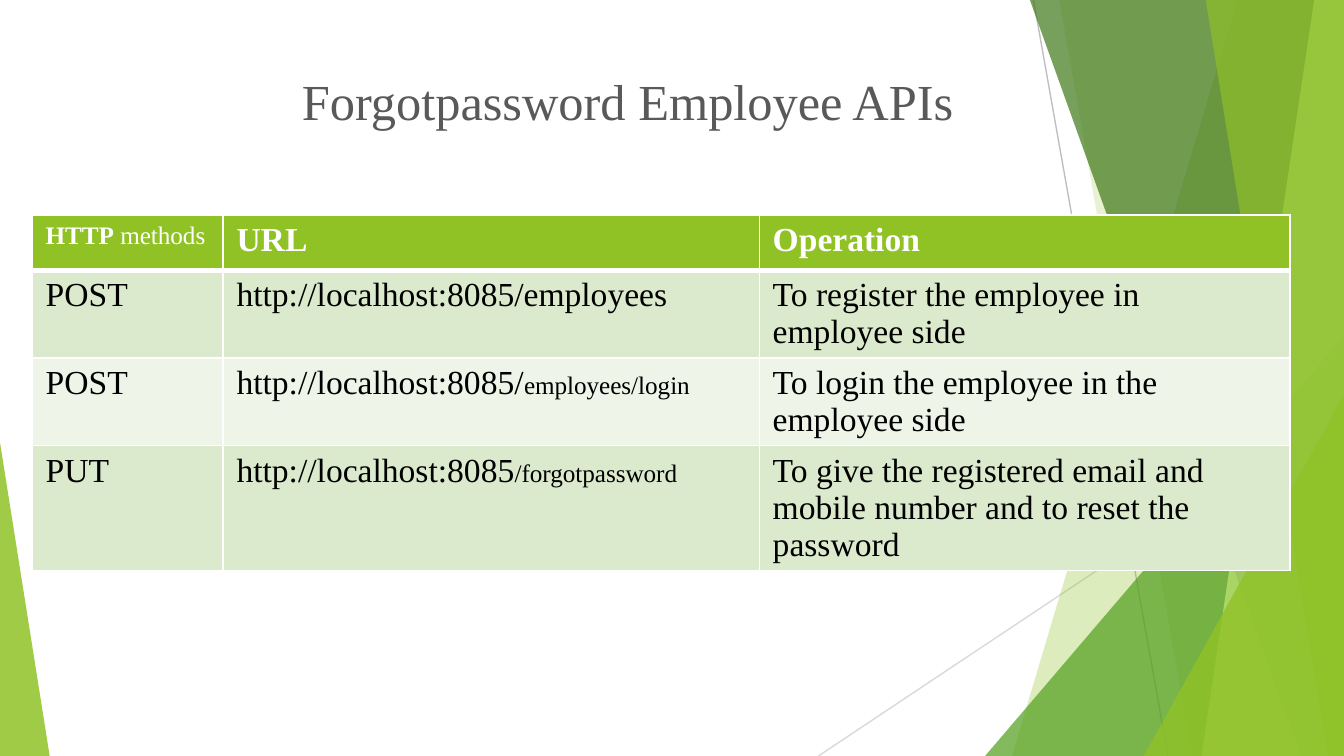
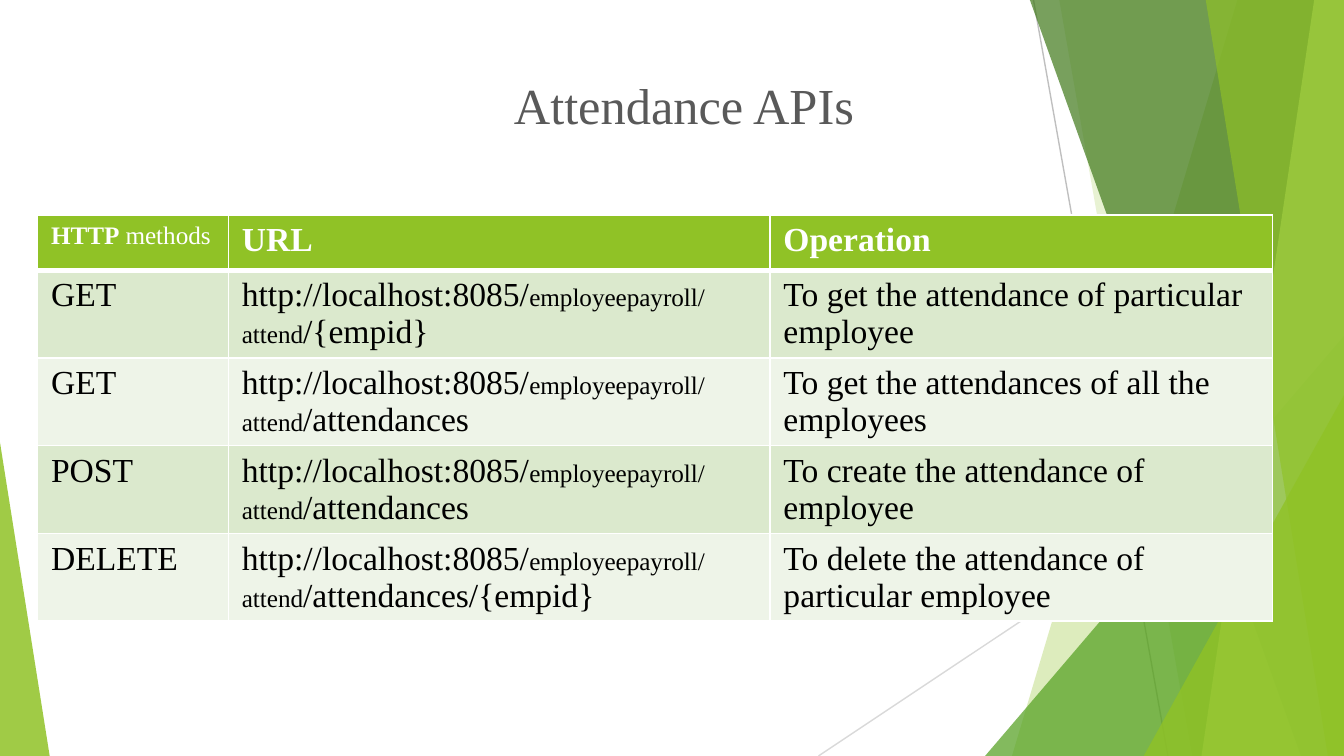
from lxml import etree
from pptx import Presentation
from pptx.dml.color import RGBColor
from pptx.enum.shapes import MSO_CONNECTOR, MSO_SHAPE
from pptx.enum.text import MSO_ANCHOR, PP_ALIGN
from pptx.oxml.ns import qn
from pptx.util import Inches, Pt

STRAIGHT = MSO_CONNECTOR.STRAIGHT
TRIANGLE = MSO_SHAPE.ISOSCELES_TRIANGLE
CENTER = PP_ALIGN.CENTER
MIDDLE = MSO_ANCHOR.MIDDLE

# Shared style
WHITE = RGBColor(0xFF, 0xFF, 0xFF)
BLACK = RGBColor(0x00, 0x00, 0x00)
TITLE_GRAY = RGBColor(0x59, 0x59, 0x59)
LINE_GRAY = RGBColor(0xBF, 0xBF, 0xBF)
PALE_GRAY = RGBColor(0xD9, 0xD9, 0xD9)
LIME = RGBColor(0x90, 0xC2, 0x26)
LEAF = RGBColor(0x54, 0xA0, 0x21)
FOREST = RGBColor(0x3F, 0x78, 0x19)
PALE_LIME = RGBColor(0xC0, 0xE4, 0x74)
BAND_DARK = RGBColor(0xDB, 0xE9, 0xCD)
BAND_LIGHT = RGBColor(0xEE, 0xF4, 0xE8)

FONT = "Times New Roman"
TITLE_SIZE, BODY_SIZE, SMALL_SIZE = 27, 18, 13.5
BODY_LEADING = 19.9
WIDTH = 10
HEIGHT = WIDTH * 9 / 16
FACET_TOP = -0.01
TABLE_TOP, ROW_HEIGHT = 1.6, 0.41
THIN, THICK = 1, 3

# Table text: a cell is a list of (text, format) spans
SMALL = {"size": Pt(SMALL_SIZE)}
HOST = "http://localhost:8085"
HEADER = [
    [("HTTP", SMALL), (" methods", {**SMALL, "bold": False})],
    [("URL", {})],
    [("Operation", {})],
]


def plain(text):
    return [(text, {})]


def attendance_url(ending):
    return [(HOST + "/", {}), ("employeepayroll/attend", SMALL), (ending, {})]


EMPLOYEE_ROWS = [
    [plain("POST"), plain(HOST + "/employees"),
     plain("To register the employee in employee side")],
    [plain("POST"), [(HOST + "/", {}), ("employees/login", SMALL)],
     plain("To login the employee in the employee side")],
    [plain("PUT"), [(HOST, {}), ("/forgotpassword", SMALL)],
     plain("To give the registered email and mobile number and to reset the password")],
]
ATTENDANCE_ROWS = [
    [plain("GET"), attendance_url("/{empid}"),
     plain("To get the attendance of particular employee")],
    [plain("GET"), attendance_url("/attendances"),
     plain("To get the attendances of all the employees")],
    [plain("POST"), attendance_url("/attendances"),
     plain("To create the attendance of employee")],
    [plain("DELETE"), attendance_url("/attendances/{empid}"),
     plain("To delete the attendance of particular employee")],
]


def add_span(para, text, color, **changes):
    span = para.add_run()
    span.text = text
    span.font.color.rgb = color
    formats = {"name": FONT, "size": Pt(BODY_SIZE), "bold": False, **changes}
    for name, value in formats.items():
        setattr(span.font, name, value)


# Background facets
def paint(shape, color, opacity):
    shape.shadow.inherit = False
    shape.line.fill.background()
    shape.fill.solid()
    shape.fill.fore_color.rgb = color
    tint = shape.fill._xPr.find(".//" + qn("a:srgbClr"))
    etree.SubElement(tint, qn("a:alpha"), val=str(opacity * 1000))


def add_ray(page, start, end, color):
    points = [Inches(value) for value in (*start, *end)]
    ray = page.shapes.add_connector(STRAIGHT, *points)
    ray.line.color.rgb = color
    ray.line.width = Pt(0.75)
    etree.SubElement(ray._element.spPr, qn("a:effectLst"))


def add_facet(page, top_left, bottom_left, color, opacity):
    """Fill from a slanted edge to the right side of the page."""
    builder = page.shapes.build_freeform(Inches(top_left), Inches(FACET_TOP))
    corners = [(WIDTH, FACET_TOP), (WIDTH, HEIGHT), (bottom_left, HEIGHT)]
    builder.add_line_segments([(Inches(x), Inches(y)) for x, y in corners])
    paint(builder.convert_to_shape(), color, opacity)


def add_corner(page, left, top, width, apex, color, opacity):
    """Right triangle that stands on the bottom edge of the page."""
    corner = page.shapes.add_shape(
        TRIANGLE, Inches(left), Inches(top), Inches(width), Inches(HEIGHT - top))
    corner.adjustments[0] = apex
    paint(corner, color, opacity)


def add_background(page):
    add_ray(page, (7.69, 0), (8.69, HEIGHT), LINE_GRAY)
    add_ray(page, (WIDTH, 3.02), (6.09, HEIGHT), PALE_GRAY)
    add_facet(page, 9.21, 7.53, LIME, 30)
    add_facet(page, 7.88, 8.87, LIME, 20)
    add_corner(page, 7.33, 2.5, 2.67, 1, LEAF, 72)
    add_facet(page, 7.66, 9.68, FOREST, 70)
    add_facet(page, 9.78, 8.94, PALE_LIME, 70)
    add_facet(page, 8.97, 9.88, LIME, 65)
    add_corner(page, 8.51, 2.94, 1.49, 1, LIME, 80)
    add_corner(page, 0, 3.29, 0.37, 0, LIME, 85)


# Title
def add_title(page, text, left, top):
    box = page.shapes.add_textbox(Inches(left), Inches(top), Inches(8.86), Inches(0.63))
    frame = box.text_frame
    formats = {"word_wrap": True, "vertical_anchor": MIDDLE}
    for side in ("left", "top", "right", "bottom"):
        formats["margin_" + side] = Inches(0.1)
    for name, value in formats.items():
        setattr(frame, name, value)
    para = frame.paragraphs[0]
    para.alignment = CENTER
    add_span(para, text, TITLE_GRAY, size=Pt(TITLE_SIZE))


# Table
def set_borders(cell, top, bottom):
    properties = cell._tc.get_or_add_tcPr()
    widths = {"lnL": THIN, "lnR": THIN, "lnT": top, "lnB": bottom}
    for position, (side, width) in enumerate(widths.items()):
        border = etree.Element(qn("a:" + side), w=str(Pt(width)))
        fill = etree.SubElement(border, qn("a:solidFill"))
        etree.SubElement(fill, qn("a:srgbClr"), val=str(WHITE))
        properties.insert(position, border)


def fill_cell(cell, spans, row):
    is_header = row == 0
    cell.fill.solid()
    cell.fill.fore_color.rgb = LIME if is_header else BAND_DARK if row % 2 else BAND_LIGHT
    set_borders(cell, THICK if row == 1 else THIN, THICK if is_header else THIN)
    para = cell.text_frame.paragraphs[0]
    if not is_header:
        para.line_spacing = Pt(BODY_LEADING)
    color = WHITE if is_header else BLACK
    for text, changes in spans:
        add_span(para, text, color, **{"bold": is_header, **changes})


def add_api_table(page, rows, left, height, widths):
    rows = [HEADER] + rows
    holder = page.shapes.add_table(
        len(rows), len(widths), Inches(left), Inches(TABLE_TOP),
        Inches(sum(widths)), Inches(height))
    table = holder.table
    for column, width in zip(table.columns, widths):
        column.width = Inches(width)
    for index, cells in enumerate(rows):
        table.rows[index].height = Inches(ROW_HEIGHT)
        for cell, spans in zip(table.rows[index].cells, cells):
            fill_cell(cell, spans, index)
    holder.height = Inches(height)


def add_page(deck):
    page = deck.slides.add_slide(deck.slide_layouts[6])
    add_background(page)
    return page


def main():
    deck = Presentation()
    deck.slide_width, deck.slide_height = Inches(WIDTH), Inches(HEIGHT)

    # Employee APIs
    page = add_page(deck)
    add_title(page, "Forgotpassword Employee APIs", 0.24, 0.43)
    add_api_table(page, EMPLOYEE_ROWS, 0.24, 1.77, (1.42, 3.99, 3.95))

    # Attendance APIs
    page = add_page(deck)
    add_title(page, "Attendance APIs", 0.66, 0.46)
    add_api_table(page, ATTENDANCE_ROWS, 0.28, 2.61, (1.42, 4.03, 3.74))

    deck.save("out.pptx")


if __name__ == "__main__":
    main()
